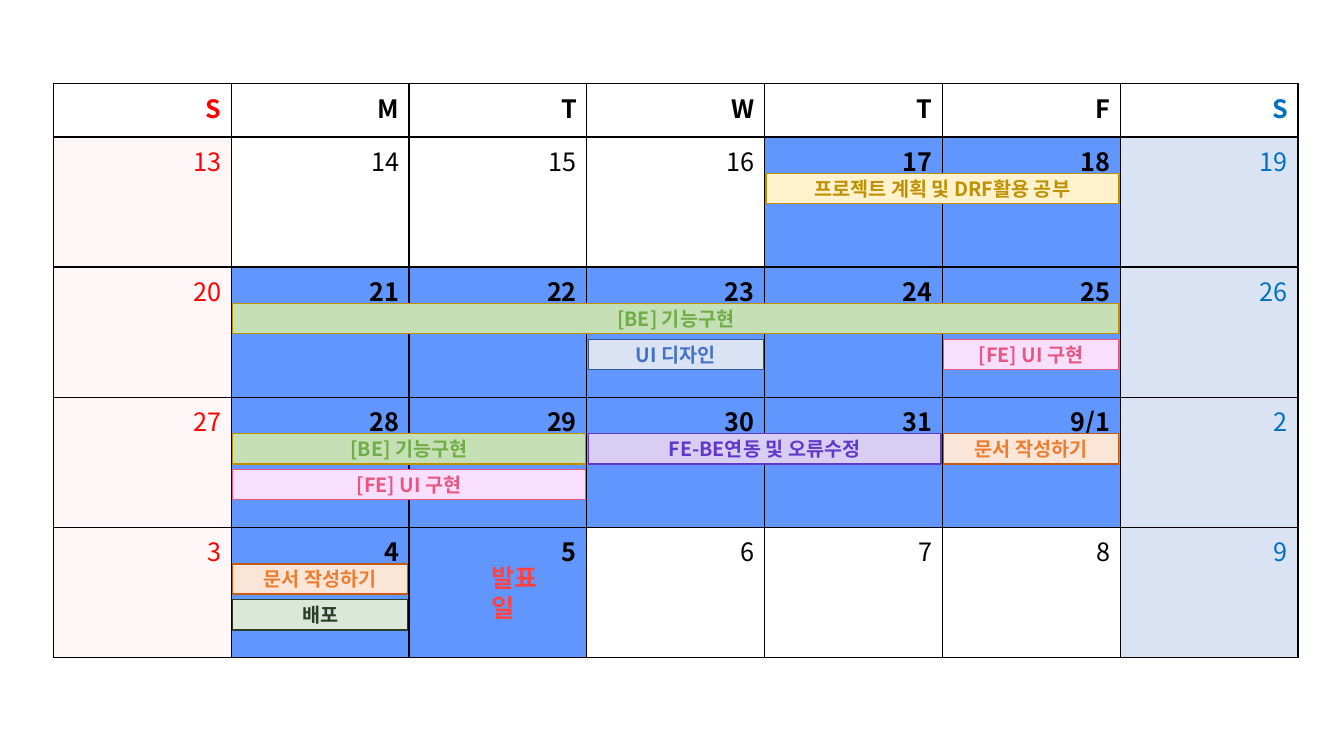
from lxml.etree import SubElement
from pptx import Presentation
from pptx.dml.color import RGBColor
from pptx.enum.shapes import MSO_SHAPE
from pptx.enum.text import MSO_ANCHOR, PP_ALIGN
from pptx.oxml.ns import qn
from pptx.util import Pt

FONT = "Noto Sans CJK KR"
HEX = {
    "black": "000000", "white": "FFFFFF", "red": "FF0000", "blue": "0070C0",
    "sunday": "FFF7F7", "saturday": "DAE3F3", "work": "6196FF", "due": "FF4343",
}
# Fill, line and text colour of each kind of task
TASKS = {
    "plan": ("FFF2CC", "BF9000", "BF9000"),
    "back": ("C5E0B4", "BF9000", "70AD47"),
    "design": ("DAE3F3", "2F5597", "4472C4"),
    "front": ("F8DFFD", "E75780", "E75780"),
    "link": ("D8CEF2", "6138C8", "6138C8"),
    "docs": ("FBE5D6", "C55A11", "ED7D31"),
    "deploy": ("DAE7D9", "283E26", "283E26"),
}
DAYS = [
    "S M T W T F S".split(),
    "13 14 15 16 17 18 19".split(),
    "20 21 22 23 24 25 26".split(),
    "27 28 29 30 31 9/1 2".split(),
    "3 4 5 6 7 8 9".split(),
]
WORK = {1: (4, 5), 2: range(1, 6), 3: range(1, 6), 4: (1, 2)}
# Text, task, week, slot in the week, first column, number of days
BARS = [
    ("[BE] 기능구현", "back", 2, 0, 1, 5),
    ("프로젝트 계획 및 DRF활용 공부", "plan", 1, 0, 4, 2),
    ("UI 디자인", "design", 2, 1, 3, 1),
    ("[FE] UI 구현", "front", 2, 1, 5, 1),
    ("FE-BE연동 및 오류수정", "link", 3, 0, 3, 2),
    ("[FE] UI 구현", "front", 3, 1, 1, 2),
    ("[BE] 기능구현", "back", 3, 0, 1, 2),
    ("배포", "deploy", 4, 1, 1, 1),
    ("문서 작성하기", "docs", 3, 0, 5, 1),
    ("문서 작성하기", "docs", 4, 0, 1, 1),
]
LEFT, TOP, COL, HEAD, WEEK = 38.2, 59.8, 127, 38, 93
BAR, STEP = 21.6, 25.6


def write(frame, text, size=18, color=HEX["black"], bold=False, align=PP_ALIGN.LEFT):
    para = frame.paragraphs[0]
    para.alignment = align
    run = para.add_run()
    run.text = text
    font = run.font
    font.size, font.bold, font.name = Pt(size), bold, FONT
    font.color.rgb = RGBColor.from_string(color)
    SubElement(run._r.rPr, qn("a:ea"), typeface=FONT)


def frame_cell(cell):
    """Draw a thin black border on all four sides."""
    props = cell._tc.get_or_add_tcPr()
    for spot, side in enumerate(("lnL", "lnR", "lnT", "lnB")):
        line = SubElement(props, qn(f"a:{side}"), w=str(Pt(1)))
        fill = SubElement(line, qn("a:solidFill"))
        SubElement(fill, qn("a:srgbClr"), val=HEX["black"])
        props.insert(spot, line)


deck = Presentation()
deck.slide_width, deck.slide_height = Pt(960), Pt(540)
slide = deck.slides.add_slide(deck.slide_layouts[6])

# Calendar
grid = slide.shapes.add_table(
    5, 7, Pt(LEFT), Pt(TOP), Pt(7 * COL), Pt(HEAD + 4 * WEEK)).table
for col in grid.columns:
    col.width = Pt(COL)
for r, row in enumerate(DAYS):
    grid.rows[r].height = Pt(WEEK if r else HEAD)
    for c, day in enumerate(row):
        cell = grid.cell(r, c)
        busy = c in WORK.get(r, ())
        ink = {0: "red", 6: "blue"}.get(c, "black")
        tint = "work" if busy else "white"
        if r:
            tint = {0: "sunday", 6: "saturday"}.get(c, tint)
        cell.fill.solid()
        cell.fill.fore_color.rgb = RGBColor.from_string(HEX[tint])
        frame_cell(cell)
        write(cell.text_frame, day, color=HEX[ink], bold=busy or r == 0,
              align=PP_ALIGN.RIGHT)

# Task bars
for text, task, week, slot, first, days in BARS:
    fill, line, ink = TASKS[task]
    top = TOP + HEAD + (week - 1) * WEEK + 26 + slot * STEP
    bar = slide.shapes.add_shape(
        MSO_SHAPE.RIGHT_ARROW, Pt(LEFT + first * COL + 1), Pt(top),
        Pt(days * COL - 2), Pt(BAR))
    bar.adjustments[0], bar.adjustments[1] = 1, 0
    bar._element.spPr.xfrm.set("flipH", "1")
    bar.shadow.inherit = False
    bar.fill.solid()
    bar.fill.fore_color.rgb = RGBColor.from_string(fill)
    bar.line.color.rgb = RGBColor.from_string(line)
    bar.line.width = Pt(1)
    bar.text_frame.vertical_anchor = MSO_ANCHOR.MIDDLE
    write(bar.text_frame, text, size=14, color=ink, bold=True, align=PP_ALIGN.CENTER)

# Due day
due = slide.shapes.add_textbox(Pt(344.2), Pt(398.2), Pt(61.2), Pt(28.8))
due.text_frame.word_wrap = True
write(due.text_frame, "발표일", color=HEX["due"], bold=True)

deck.save("out.pptx")
